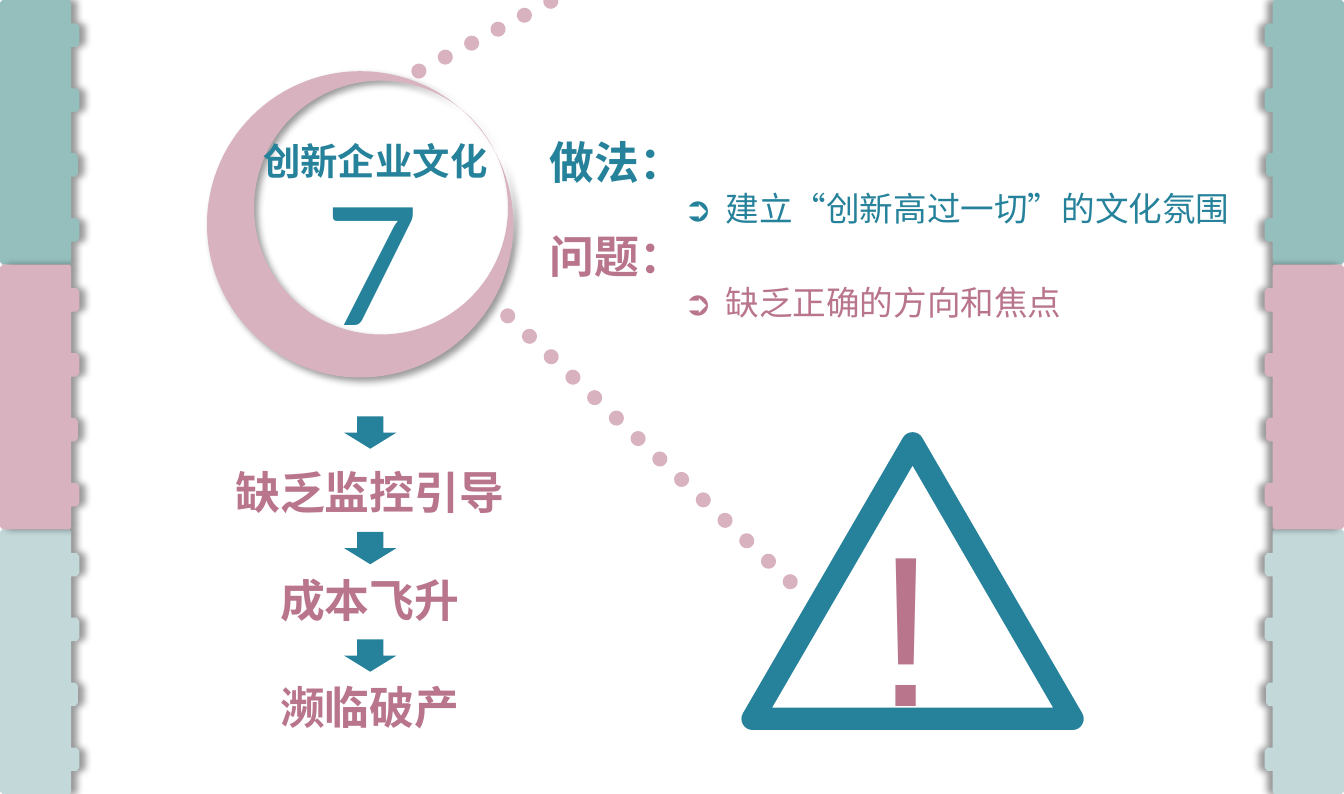
from math import cos, sin, pi
from pptx import Presentation
from pptx.dml.color import RGBColor
from pptx.enum.shapes import MSO_CONNECTOR, MSO_SHAPE
from pptx.enum.text import PP_ALIGN
from pptx.oxml import parse_xml
from pptx.oxml.ns import nsdecls, qn
from pptx.util import Emu, Inches, Pt

HUES = {"teal": "26829B", "rose": "B9758C", "pink": "D8B2BF",
        "sage": "95BFBD", "mist": "C3D8D9"}
HUES = {name: RGBColor.from_string(code) for name, code in HUES.items()}
CJK = "Noto Sans CJK SC"

deck = Presentation()
deck.slide_width, deck.slide_height = Inches(10), Inches(5.91)
slide = deck.slides.add_slide(deck.slide_layouts[6])
shapes = slide.shapes
COL = deck.slide_width / 100    # square grid, 100 columns wide
ROWS = deck.slide_height / COL


def cells(*sizes):
    return [Emu(round(size * COL)) for size in sizes]


def write(area, rows, wrap=True):
    """Fill a text box; each row is text, size, font, hue, bold, pitch, gap."""
    frame = shapes.add_textbox(*cells(*area)).text_frame
    frame.word_wrap = wrap
    for i, (text, size, face, hue, bold, pitch, gap) in enumerate(rows):
        para = frame.add_paragraph() if i else frame.paragraphs[0]
        para.text = text
        if pitch:
            para.line_spacing = Pt(pitch)
        if gap:
            para.space_before = Pt(gap)
        font = para.runs[0].font
        font.size, font.bold, font.name = Pt(size), bold, face
        font.color.rgb = HUES[hue]
        para.runs[0]._r.get_or_add_rPr().append(
            parse_xml(f'<a:ea {nsdecls("a")} typeface="{face}"/>'))
    return frame.paragraphs


# Notched bands on both edges, then the crescent: hue, outlines, shadow angle
band = ROWS / 3
forms = []
for right in (False, True):
    for hue, row in (("sage", 0), ("mist", 2), ("pink", 1)):
        edge = [(0.2, 0), (5.2, 0), (5.3, 0.2)]
        for notch in range(4):
            y = 1.75 + notch * 4.83
            tip = 5.8 if notch == 2 else 5.9
            edge += [(5.3, y), (tip - 0.2, y), (tip, y + 0.25),
                     (tip, y + 1.5), (tip - 0.2, y + 1.75), (5.3, y + 1.75)]
        edge += [(5.3, band - 0.2), (5.2, band), (0.2, band),
                 (0, band - 0.2), (0, 0.2)]
        edge = [(100 - x if right else x, y + row * band) for x, y in edge]
        forms.append((hue, [edge], 180 if right else 0))

rings = []
for x, y, r, turn in ((26.8, 16.7, 11.4, 1), (28.35, 15.45, 9.45, -1)):
    steps = [turn * 2 * pi * i / 120 for i in range(120)]
    rings.append([(x + r * cos(a), y + r * sin(a)) for a in steps])
forms.append(("pink", rings, 45))

# Dotted trails, beneath the crescent
trails = [(58.8, 43.3, 36.6, 22.4), (50.8, -5.1, 30.4, 5.7)]
for trail in trails:
    line = shapes.add_connector(MSO_CONNECTOR.STRAIGHT, *cells(*trail))
    line.line.width = Pt(8)
    line.line.color.rgb = HUES["pink"]
    stroke = line.line._get_or_add_ln()
    stroke.set("cap", "rnd")
    stroke.append(parse_xml(f'<a:prstDash {nsdecls("a")} val="sysDot"/>'))
    line._element.spPr.append(parse_xml(f'<a:effectLst {nsdecls("a")}/>'))

for hue, paths, angle in forms:
    pen = None
    for points in paths:
        points = [cells(*point) for point in points]
        if pen is None:
            pen = shapes.build_freeform(*points[0])
        else:
            pen.move_to(*points[0])
        pen.add_line_segments(points[1:], close=True)
    form = pen.convert_to_shape()
    form.fill.solid()
    form.fill.fore_color.rgb = HUES[hue]
    form.line.fill.background()
    form.shadow.inherit = False
    form._element.spPr.find(qn("a:effectLst")).append(parse_xml(
        f'<a:outerShdw {nsdecls("a")} blurRad="{Pt(4)}" dist="{Pt(3)}" '
        f'dir="{angle * 60000}" algn="ctr" rotWithShape="0">'
        '<a:srgbClr val="000000"><a:alpha val="40000"/></a:srgbClr>'
        '</a:outerShdw>'))

# Title and number
write((18.6, 9.8, 24, 4.4),
      [("创新企业文化", 20, CJK, "teal", True, 24, 0)])
write((23.2, 11.5, 6.7, 15.8), [("7", 88, "Lato", "teal", False, 0, 0)])

# Practice and problem
notes = write((39.9, 9.5, 62.2, 15.1), [
    ("做法：", 24, CJK, "teal", True, 28.8, 0),
    ("建立“创新高过一切”的文化氛围", 18, CJK, "teal", False, 21.6, 0),
    ("问题：", 24, CJK, "rose", True, 28.8, 0),
    ("缺乏正确的方向和焦点", 18, CJK, "rose", False, 21.6, 0)])
for para in notes[1::2]:
    para.level = 1
    props = para._p.get_or_add_pPr()
    props.set("marL", str(Inches(1.31)))
    props.set("indent", str(Inches(-0.31)))
    props.append(parse_xml(f'<a:buFont {nsdecls("a")} typeface="Lato"/>'))
    props.append(parse_xml(f'<a:buChar {nsdecls("a")} char="➲"/>'))

# Warning sign
sign = shapes.add_shape(MSO_SHAPE.ISOSCELES_TRIANGLE,
                        *cells(56, 33, 23.8, 20.5))
sign.fill.background()
sign.line.width = Pt(12)
sign.line.color.rgb = HUES["teal"]
sign.line._get_or_add_ln().append(parse_xml(f'<a:round {nsdecls("a")}/>'))
sign.shadow.inherit = False
write((64.2, 36.1, 7.1, 20.4),
      [("!", 115, "Arial", "rose", False, 0, 0)], False)

# Chain of consequences with an arrow above each
chain = ["缺乏监控引导", "成本飞升", "濒临破产"]
for para in write((13.4, 34.1, 28.2, 21.2),
                  [(text, 24, CJK, "rose", True, 28.8, 28.8 if i else 0)
                   for i, text in enumerate(chain)]):
    para.alignment = PP_ALIGN.CENTER
for y in (31, 39.6, 47.6):
    arrow = shapes.add_shape(MSO_SHAPE.DOWN_ARROW, *cells(25.6, y, 3.9, 2.4))
    arrow.fill.solid()
    arrow.fill.fore_color.rgb = HUES["teal"]
    arrow.line.fill.background()
    arrow.shadow.inherit = False

deck.save("out.pptx")
